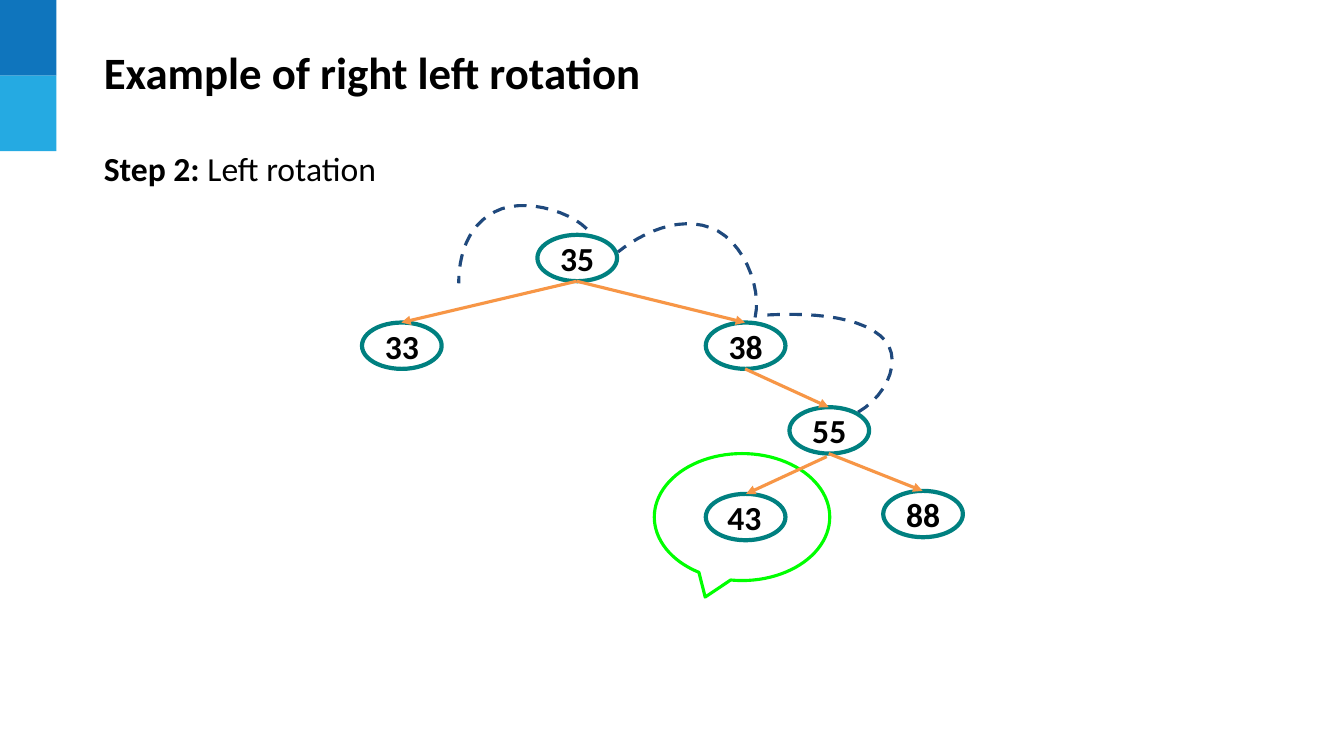
from lxml import etree
from pptx import Presentation
from pptx import util as u
from pptx.dml import color
from pptx.enum import dml, shapes, text
from pptx.oxml import ns

PX = 9144  # one px is a hundredth of an inch
FONT = "Calibri"
BLACK, WHITE, TEAL, ORANGE = "000000", "FFFFFF", "008080", "F79646"
NAVY, LIME, BLUE, SKY = "1F497D", "00FF00", "0F75BD", "25AAE2"
WIDE, HIGH = 79, 46  # size of a tree node


def rgb(code):
    return color.RGBColor.from_string(code)


def curve(start, *parts, steps=12):
    """Points along a chain of cubic Bezier parts."""
    points = [start]
    for one, two, end in parts:
        for step in range(1, steps + 1):
            t = step / steps
            mix = ((1 - t) ** 3, 3 * t * (1 - t) ** 2, 3 * t * t * (1 - t), t ** 3)
            points.append(tuple(
                sum(m * p[axis] for m, p in zip(mix, (start, one, two, end)))
                for axis in (0, 1)))
        start = end
    return points


class Board:
    def __init__(self, deck):
        self.slide = deck.slides.add_slide(deck.slide_layouts[1])
        self.items = self.slide.shapes

    def style(self, para, size):
        para.font.name, para.font.size = FONT, u.Pt(size)
        para.font.bold, para.font.color.rgb = True, rgb(BLACK)

    def pen(self, line, code, width):
        line.color.rgb, line.width = rgb(code), u.Pt(width)

    def holder(self, index, box, size, inset, anchor, runs):
        item = self.slide.placeholders[index]
        item.left, item.top, item.width, item.height = (n * PX for n in box)
        frame = item.text_frame
        frame.auto_size = text.MSO_AUTO_SIZE.NONE
        frame.vertical_anchor = anchor
        frame.margin_left = frame.margin_right = 10 * PX
        frame.margin_top = frame.margin_bottom = inset * PX
        para = frame.paragraphs[0]
        para.alignment = text.PP_ALIGN.LEFT
        para.space_before = u.Pt(0)
        props = para._p.get_or_add_pPr()
        props.set("marL", "0")
        props.set("indent", "0")
        etree.SubElement(props, ns.qn("a:buNone"))
        self.style(para, size)
        for words, bold in runs:
            run = para.add_run()
            run.text, run.font.bold = words, bold

    def shape(self, kind, box, fill, line=None, width=0):
        item = self.items.add_shape(kind, *(n * PX for n in box))
        item.shadow.inherit = False
        item.fill.solid()
        item.fill.fore_color.rgb = rgb(fill)
        if line:
            self.pen(item.line, line, width)
        else:
            item.line.fill.background()
        return item

    def node(self, label, left, top, align=text.PP_ALIGN.CENTER):
        item = self.shape(shapes.MSO_SHAPE.OVAL, (left, top, WIDE, HIGH), WHITE, TEAL, 3)
        frame = item.text_frame
        frame.vertical_anchor = text.MSO_ANCHOR.MIDDLE
        para = frame.paragraphs[0]
        para.text, para.alignment = label, align
        self.style(para, 24)

    def arrow(self, start, end):
        item = self.items.add_connector(
            shapes.MSO_CONNECTOR.STRAIGHT, *(n * PX for n in (*start, *end)))
        self.pen(item.line, ORANGE, 2.25)
        tail = etree.SubElement(item.line._get_or_add_ln(), ns.qn("a:tailEnd"))
        tail.set("type", "triangle")
        etree.SubElement(item._element.spPr, ns.qn("a:effectLst"))

    def arc(self, start, *parts):
        first, *rest = [(round(x * PX), round(y * PX)) for x, y in curve(start, *parts)]
        path = self.items.build_freeform(*first)
        path.add_line_segments(rest, close=False)
        item = path.convert_to_shape()
        item.shadow.inherit = False
        item.fill.background()
        self.pen(item.line, NAVY, 2.25)
        item.line.dash_style = dml.MSO_LINE.DASH


def main():
    deck = Presentation()
    deck.slide_width, deck.slide_height = 1333 * PX, 750 * PX
    board = Board(deck)

    # Corner blocks
    for row, fill in enumerate((BLUE, SKY)):
        board.shape(shapes.MSO_SHAPE.RECTANGLE, (0, 75 * row, 56, 75), fill)

    # Title and step
    board.holder(0, (93, 39, 1162, 64), 32, 5, text.MSO_ANCHOR.MIDDLE,
                 [("Example of right left rotation", True)])
    board.holder(1, (93, 137, 1157, 61), 24, 10, text.MSO_ANCHOR.TOP,
                 [("Step 2:", True), (" Left rotation", False)])

    # Dashed rotation arcs
    board.arc((582, 227), ((563, 208), (517, 196), (491, 210)),
              ((463, 224), (455, 255), (455, 281)))
    board.arc((749, 315), ((756, 284), (736, 237), (705, 226)),
              ((673, 214), (637, 231), (613, 250)))
    board.arc((851, 409), ((882, 391), (897, 352), (873, 333)),
              ((848, 312), (796, 310), (754, 313)))

    # Tree
    tree = {"35": (533, 233), "33": (359, 320), "38": (700, 320),
            "55": (783, 404), "88": (876, 487)}
    for label, spot in tree.items():
        board.node(label, *spot)
    for above, below in (("35", "33"), ("35", "38"), ("38", "55"), ("55", "88")):
        (x, y), (left, top) = tree[above], tree[below]
        board.arrow((x + WIDE // 2, y + HIGH), (left + WIDE // 2, top))

    # Highlighted node
    bubble = board.shape(shapes.MSO_SHAPE.OVAL_CALLOUT, (649, 450, 174, 126),
                         WHITE, LIME, 2.25)
    bubble.adjustments[0], bubble.adjustments[1] = -0.21, 0.63
    board.node("43", 700, 490, text.PP_ALIGN.LEFT)
    board.arrow((820, 453), (740, 490))

    deck.save("out.pptx")


if __name__ == "__main__":
    main()
